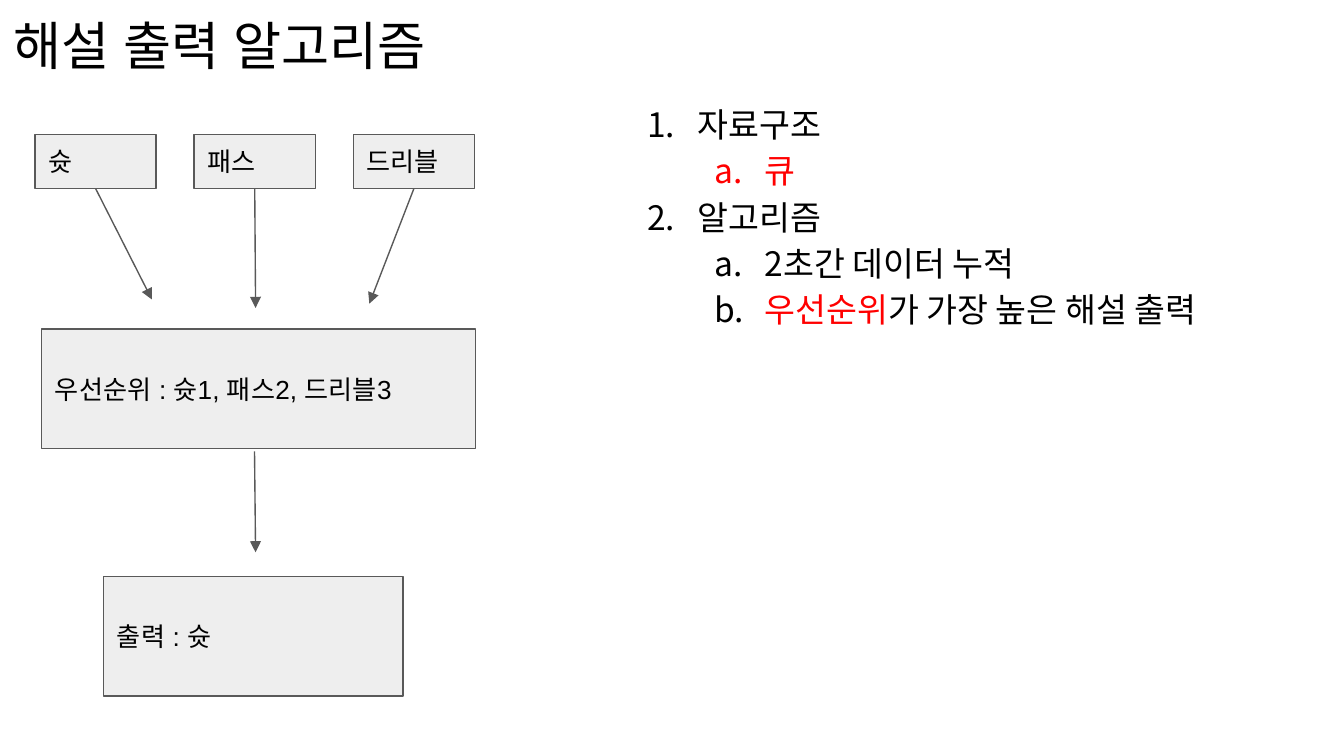
from lxml.etree import SubElement
from pptx import Presentation
from pptx.dml.color import RGBColor
from pptx.enum.shapes import MSO_CONNECTOR as CONN, MSO_SHAPE as SHAPE
from pptx.enum.text import MSO_ANCHOR as ANCHOR, PP_ALIGN as ALIGN
from pptx.oxml.ns import qn
from pptx.util import Cm, Pt

COLORS = {"text": "000000", "accent": "FF0000", "fill": "EEEEEE", "line": "595959"}
SANS, KOREAN = "Arial", "Noto Sans CJK KR"


def rgb(name):
    """Return the named palette colour."""
    return RGBColor.from_string(COLORS[name])


def format_run(r, size, face, color="text"):
    """Set size, colour and both Latin and East Asian typefaces of a run."""
    r.font.size = Pt(size)
    r.font.name = face
    r.font.color.rgb = rgb(color)
    SubElement(r.font._element, qn("a:ea"), typeface=face)


def set_frame(tf, anchor=ANCHOR.TOP):
    """Wrap a text frame and give it equal insets."""
    tf.word_wrap = True
    tf.vertical_anchor = anchor
    tf.margin_left = tf.margin_right = tf.margin_top = tf.margin_bottom = Cm(0.25)


def add_title(s, x, y, w, h, text):
    """Place the slide title."""
    tf = s.shapes.add_textbox(Cm(x), Cm(y), Cm(w), Cm(h)).text_frame
    set_frame(tf)
    tf.text = text
    format_run(tf.paragraphs[0].runs[0], 28, SANS)


def add_step(s, x, y, w, h, text):
    """Place one labelled step of the flow."""
    sp = s.shapes.add_shape(SHAPE.RECTANGLE, Cm(x), Cm(y), Cm(w), Cm(h))
    sp.shadow.inherit = False
    sp.fill.solid()
    sp.fill.fore_color.rgb = rgb("fill")
    sp.line.color.rgb = rgb("line")
    sp.line.width = Pt(0.75)
    tf = sp.text_frame
    set_frame(tf, ANCHOR.MIDDLE)
    tf.text = text
    p = tf.paragraphs[0]
    p.alignment = ALIGN.LEFT
    format_run(p.runs[0], 14, SANS)


def add_arrow(s, x1, y1, x2, y2):
    """Draw an arrow from the first point to the second."""
    c = s.shapes.add_connector(CONN.STRAIGHT, Cm(x1), Cm(y1), Cm(x2), Cm(y2))
    c.line.color.rgb = rgb("line")
    c.line.width = Pt(0.75)
    SubElement(c.line._get_or_add_ln(), qn("a:tailEnd"), type="triangle")
    SubElement(c._element.spPr, qn("a:effectLst"))


def add_flow(s, x, y, w, h):
    """Draw the flow from the three events through priority to output."""
    event_w, event_h, step_h = 2.29, 1.02, 2.26
    pitch = 3.01
    events = [("슛", 2.21, 3.12), ("패스", 4.17, 3.28), ("드리블", 6.32, 3.2)]
    for i, (text, tip_x, tip_y) in enumerate(events):
        left = x + i * pitch
        add_step(s, left, y, event_w, event_h, text)
        add_arrow(s, left + event_w / 2, y + event_h, x + tip_x, y + tip_y)
    add_step(s, x + 0.13, y + 3.68, w - 0.13, step_h, "우선순위 : 슛1, 패스2, 드리블3")
    add_step(s, x + 1.3, y + h - step_h, 5.66, step_h, "출력 : 슛")
    add_arrow(s, x + 4.15, y + 5.99, x + 4.17, y + 7.9)


def add_number(p, level, color):
    """Number a paragraph by its outline level."""
    pPr = p._p.get_or_add_pPr()
    pPr.set("marL", str(Cm(1.27 * (level + 1))))
    pPr.set("indent", str(Cm(-0.95)))
    SubElement(SubElement(pPr, qn("a:buClr")), qn("a:srgbClr"), val=COLORS[color])
    SubElement(pPr, qn("a:buFont"), typeface=KOREAN)
    scheme = ("arabicPeriod", "alphaLcPeriod")[level]
    SubElement(pPr, qn("a:buAutoNum"), type=scheme)


def add_outline(s, x, y, w, h, items):
    """Place the numbered outline of (level, number colour, runs) items."""
    tf = s.shapes.add_textbox(Cm(x), Cm(y), Cm(w), Cm(h)).text_frame
    set_frame(tf)
    for i, (level, color, parts) in enumerate(items):
        p = tf.add_paragraph() if i else tf.paragraphs[0]
        p.level = level
        p.line_spacing = 1.15
        add_number(p, level, color)
        for text, run_color in parts:
            r = p.add_run()
            r.text = text
            format_run(r, 18, KOREAN, run_color)


def main():
    """Build and save the slide."""
    prs = Presentation()
    prs.slide_width, prs.slide_height = Cm(25.4), Cm(14.29)
    s = prs.slides.add_slide(prs.slide_layouts[6])
    add_title(s, 0, 0, 23.67, 1.6, "해설 출력 알고리즘")
    add_outline(s, 11.66, 1.6, 12.01, 9.5, [
        (0, "text", [("자료구조", "text")]),
        (1, "accent", [("큐", "accent")]),
        (0, "text", [("알고리즘", "text")]),
        (1, "text", [("2초간 데이터 누적", "text")]),
        (1, "text", [("우선순위", "accent"), ("가 가장 높은 해설 출력", "text")]),
    ])
    add_flow(s, 0.66, 2.54, 8.33, 10.62)
    prs.save("out.pptx")


if __name__ == "__main__":
    main()
